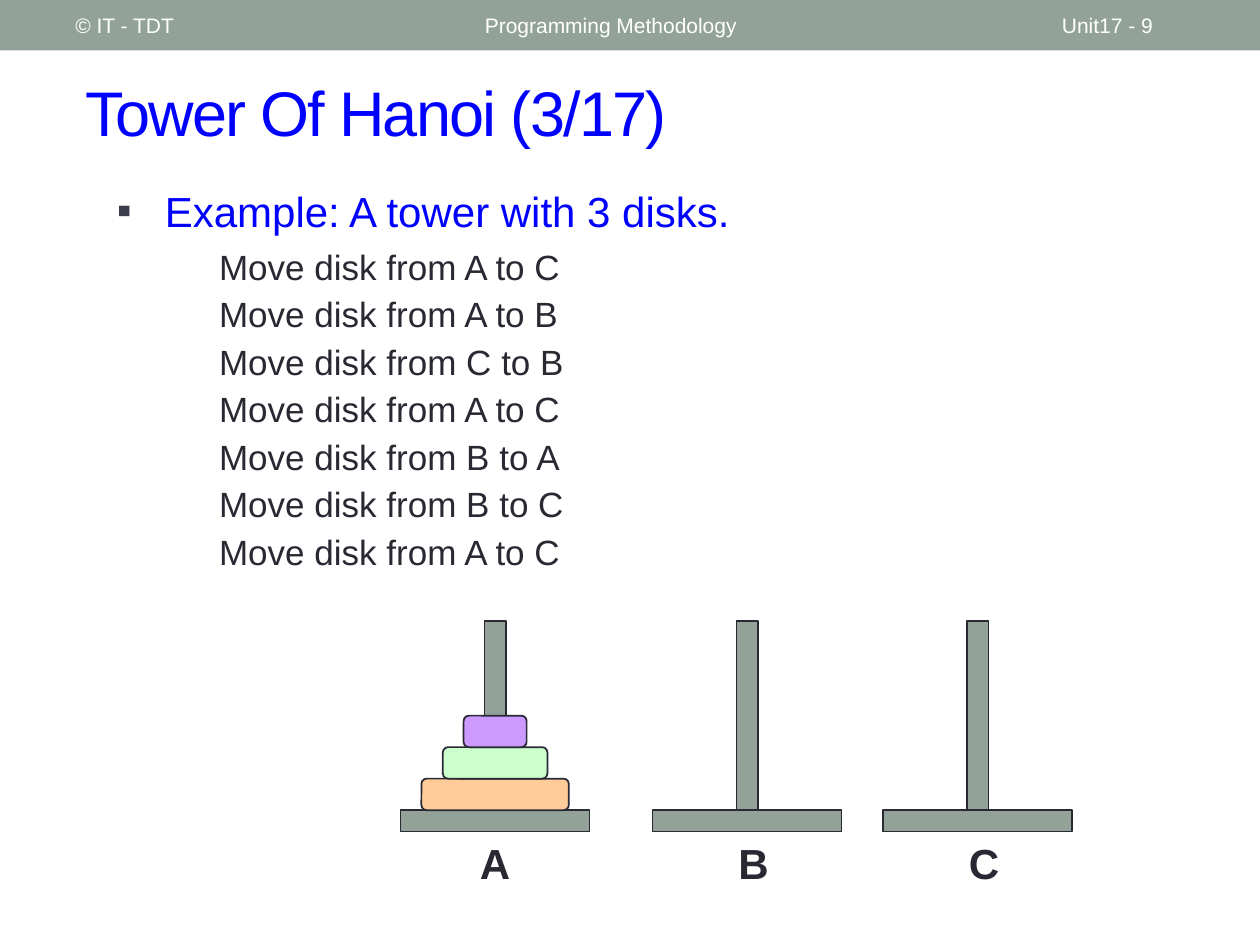
from lxml import etree
from pptx import Presentation
from pptx.dml.color import RGBColor
from pptx.enum import shapes, text
from pptx.oxml.ns import qn
from pptx.util import Inches, Pt

SAGE, INK, BLUE, WHITE = "93A299", "292934", "0000FF", "FFFFFF"
MIDDLE = text.MSO_ANCHOR.MIDDLE
RECT = shapes.MSO_SHAPE.RECTANGLE
ROUNDED = shapes.MSO_SHAPE.ROUNDED_RECTANGLE

BASE_TOP, BASE_WIDTH, BASE_HEIGHT = 6.43, 1.5, 0.17
PEG_WIDTH, PEG_HEIGHT = 0.17, 1.5
DISK_HEIGHT = 0.25


def color(value):
    return RGBColor.from_string(value)


def add_block(slide, kind, left, top, width, height, fill, outline=None):
    block = slide.shapes.add_shape(
        kind, Inches(left), Inches(top), Inches(width), Inches(height))
    block.shadow.inherit = False
    block.fill.solid()
    block.fill.fore_color.rgb = color(fill)
    if outline:
        block.line.color.rgb = color(outline)
        block.line.width = Pt(1)
    else:
        block.line.fill.background()
    return block


def add_frame(slide, left, top, width, height, anchor=text.MSO_ANCHOR.TOP):
    frame = slide.shapes.add_textbox(
        Inches(left), Inches(top), Inches(width), Inches(height)).text_frame
    frame.word_wrap = True
    frame.vertical_anchor = anchor
    return frame


def write(paragraph, words, size, ink, bold=False, align=text.PP_ALIGN.LEFT,
          before=0, after=0, spacing=None):
    paragraph.alignment = align
    paragraph.space_before = Pt(before)
    paragraph.space_after = Pt(after)
    run = paragraph.add_run()
    run.text = words
    run.font.name = "Arial"
    run.font.size = Pt(size)
    run.font.bold = bold
    run.font.color.rgb = color(ink)
    if spacing:
        run.font._element.set("spc", str(int(spacing * 100)))


def set_indent(paragraph, margin, first_line=0):
    properties = paragraph._p.get_or_add_pPr()
    properties.set("marL", str(Inches(margin)))
    properties.set("indent", str(Inches(first_line)))
    return properties


def add_bullet(paragraph, symbol, ink):
    properties = set_indent(paragraph, 0.38, -0.38)
    bullet_color = etree.SubElement(properties, qn("a:buClr"))
    etree.SubElement(bullet_color, qn("a:srgbClr"), val=ink)
    etree.SubElement(properties, qn("a:buFont"), typeface="Arial")
    etree.SubElement(properties, qn("a:buChar"), char=symbol)


def add_header(slide):
    add_block(slide, RECT, 0, 0, 10, 0.4, SAGE)
    for words, left, width in (("© IT - TDT", 0.5, 3.17),
                               ("Programming Methodology", 3.75, 4.5),
                               ("Unit17 - 9", 8.33, 1.17)):
        frame = add_frame(slide, left, 0.02, width, 0.36, MIDDLE)
        write(frame.paragraphs[0], words, 12, WHITE)


def add_moves(slide, moves):
    body = add_frame(slide, 0.83, 1.42, 8.75, 5.5)
    heading = body.paragraphs[0]
    add_bullet(heading, "▪", "3B3B4B")
    write(heading, "Example: A tower with 3 disks.", 24, BLUE,
          align=text.PP_ALIGN.JUSTIFY, after=2.6)
    for start, end in moves:
        step = body.add_paragraph()
        step.level = 1
        set_indent(step, 0.81)
        write(step, f"Move disk from {start} to {end}", 20, INK,
              align=text.PP_ALIGN.JUSTIFY, before=3.1)


def add_tower(slide, name, center, label_shift=0, disks=()):
    add_block(slide, RECT, center - BASE_WIDTH / 2, BASE_TOP,
              BASE_WIDTH, BASE_HEIGHT, SAGE, INK)
    add_block(slide, RECT, center - PEG_WIDTH / 2, BASE_TOP - PEG_HEIGHT,
              PEG_WIDTH, PEG_HEIGHT, SAGE, INK)
    # Disks stack upward from the base
    for level, (width, fill) in enumerate(disks, start=1):
        add_block(slide, ROUNDED, center - width / 2,
                  BASE_TOP - level * DISK_HEIGHT, width, DISK_HEIGHT, fill, INK)
    label = add_frame(slide, center + label_shift - 0.25, 6.6, 0.5, 0.5)
    write(label.paragraphs[0], name, 24, INK, bold=True,
          align=text.PP_ALIGN.CENTER)


def main():
    deck = Presentation()
    deck.slide_width, deck.slide_height = Inches(10), Inches(7.5)
    slide = deck.slides.add_slide(deck.slide_layouts[6])

    # Header and title
    add_header(slide)
    title = add_frame(slide, 0.58, 0.42, 9.17, 0.92, MIDDLE)
    write(title.paragraphs[0], "Tower Of Hanoi (3/17)", 36, BLUE, spacing=-1)

    # Solution steps
    add_moves(slide, ("AC", "AB", "CB", "AC", "BA", "BC", "AC"))

    # Three towers, with all disks on the first
    add_tower(slide, "A", 3.93, disks=(
        (1.17, "FFCC99"), (0.83, "CCFFCC"), (0.5, "CC99FF")))
    add_tower(slide, "B", 5.93, label_shift=0.05)
    add_tower(slide, "C", 7.76, label_shift=0.05)

    deck.save("out.pptx")


if __name__ == "__main__":
    main()
